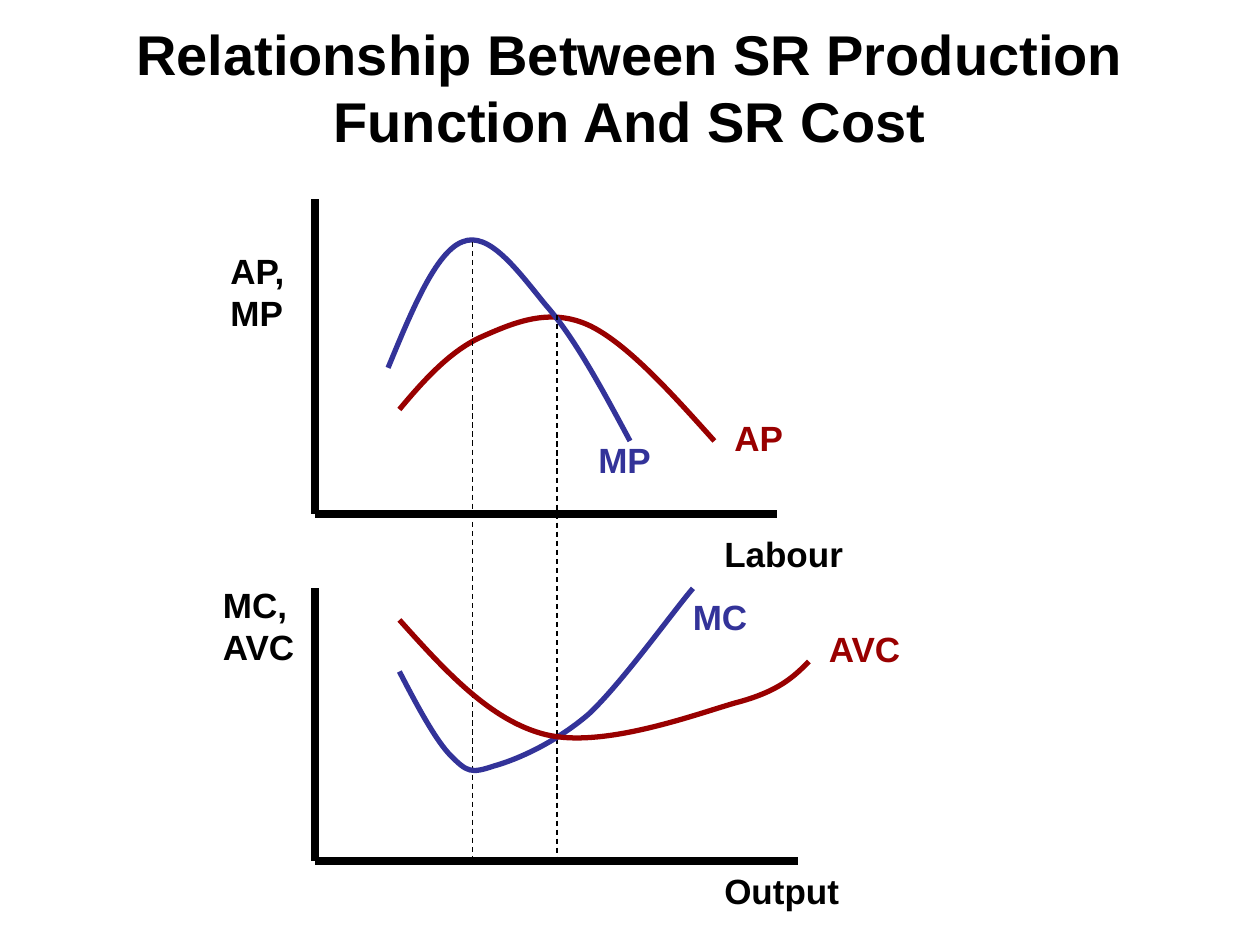
from dataclasses import dataclass

from lxml.etree import SubElement
from pptx import Presentation
from pptx.dml.color import RGBColor
from pptx.enum.dml import MSO_LINE_DASH_STYLE as Dash
from pptx.enum.shapes import MSO_CONNECTOR as Connector
from pptx.enum.text import MSO_ANCHOR as Anchor, MSO_AUTO_SIZE as AutoSize, PP_ALIGN as Align
from pptx.oxml.ns import qn
from pptx.util import Inches, Pt


@dataclass(frozen=True)
class Theme:
    font: str = "Arial"
    ink: RGBColor = RGBColor(0, 0, 0)
    average: RGBColor = RGBColor(0x99, 0, 0)
    marginal: RGBColor = RGBColor(0x33, 0x33, 0x99)
    title_size: int = 32
    label_size: int = 20
    axis_width: float = 4.5
    curve_width: float = 3
    guide_width: float = 0.75


THEME = Theme()


def add_run(paragraph, text, size, color):
    run = paragraph.add_run()
    run.text = text
    run.font.name = THEME.font
    run.font.size = Pt(size)
    run.font.bold = True
    run.font.color.rgb = color


def add_title(slide, text):
    shape = slide.shapes.add_textbox(Inches(0.5), Inches(0.3), Inches(9), Inches(0.78))
    frame = shape.text_frame
    frame.word_wrap = True
    frame.vertical_anchor = Anchor.MIDDLE
    paragraph = frame.paragraphs[0]
    paragraph.alignment = Align.CENTER
    add_run(paragraph, text, THEME.title_size, THEME.ink)


def add_label(slide, lines, left, top, width, color=THEME.ink):
    height = 0.11 + 0.33 * len(lines)
    shape = slide.shapes.add_textbox(Inches(left), Inches(top), Inches(width), Inches(height))
    frame = shape.text_frame
    frame.word_wrap = False
    frame.auto_size = AutoSize.SHAPE_TO_FIT_TEXT
    for index, line in enumerate(lines):
        paragraph = frame.add_paragraph() if index else frame.paragraphs[0]
        add_run(paragraph, line, THEME.label_size, color)


def add_line(slide, start, end, width, dash=None):
    ends = [Inches(value) for value in (*start, *end)]
    connector = slide.shapes.add_connector(Connector.STRAIGHT, *ends)
    connector.line.color.rgb = THEME.ink
    connector.line.width = Pt(width)
    if dash:
        connector.line.dash_style = dash
    SubElement(connector._element.spPr, qn("a:effectLst"))


def add_axes(slide, top, bottom, right, left=2.5):
    add_line(slide, (left, top), (left, bottom), THEME.axis_width)
    add_line(slide, (left, bottom), (right, bottom), THEME.axis_width)


def add_curve(slide, points, color):
    """Draw a Bezier curve: a start point, then two controls and an end per segment."""
    start, *others = [(Inches(x), Inches(y)) for x, y in points]
    builder = slide.shapes.build_freeform(*start)
    builder.add_line_segments(others, close=False)
    shape = builder.convert_to_shape()
    outline = shape._element.find(".//" + qn("a:path"))
    segments = outline.findall(qn("a:lnTo"))
    for first in range(0, len(segments), 3):
        bezier = SubElement(outline, qn("a:cubicBezTo"))
        for segment in segments[first:first + 3]:
            bezier.append(segment[0])
            outline.remove(segment)
    shape.shadow.inherit = False
    shape.fill.background()
    shape.line.color.rgb = color
    shape.line.width = Pt(THEME.curve_width)


def add_product_curves(slide):
    add_curve(slide, [(3.17, 3.25), (3.37, 3.01), (3.58, 2.78), (3.83, 2.67),
                      (4.08, 2.56), (4.36, 2.44), (4.67, 2.58),
                      (4.97, 2.72), (5.32, 3.11), (5.67, 3.5)], THEME.average)
    add_curve(slide, [(3.08, 2.92), (3.27, 2.46), (3.46, 2), (3.67, 1.92),
                      (3.88, 1.83), (4.11, 2.15), (4.33, 2.42),
                      (4.56, 2.68), (4.78, 3.09), (5, 3.5)], THEME.marginal)


def add_cost_curves(slide):
    add_curve(slide, [(3.17, 5.33), (3.31, 5.6), (3.46, 5.88), (3.58, 6),
                      (3.71, 6.13), (3.74, 6.14), (3.92, 6.08),
                      (4.1, 6.03), (4.4, 5.9), (4.67, 5.67),
                      (4.93, 5.43), (5.36, 4.83), (5.5, 4.67)], THEME.marginal)
    add_curve(slide, [(3.17, 4.92), (3.53, 5.32), (3.89, 5.72), (4.33, 5.83),
                      (4.78, 5.94), (5.49, 5.68), (5.83, 5.58),
                      (6.18, 5.49), (6.3, 5.37), (6.42, 5.25)], THEME.average)


def main():
    presentation = Presentation()
    presentation.slide_width = Inches(10)
    presentation.slide_height = Inches(7.5)
    slide = presentation.slides.add_slide(presentation.slide_layouts[6])

    add_title(slide, "Relationship Between SR Production Function And SR Cost")
    cost_base = 6.83
    add_axes(slide, 1.58, 4.08, 6.17)
    add_axes(slide, 4.67, cost_base, 6.33)
    add_product_curves(slide)
    for x, top in ((3.75, 1.92), (4.42, 2.5)):
        add_line(slide, (x, top), (x, cost_base), THEME.guide_width, Dash.DASH)
    add_cost_curves(slide)

    add_label(slide, ["Output"], 5.65, 6.85, 1.13)
    add_label(slide, ["Labour"], 5.65, 4.18, 1.16)
    add_label(slide, ["AP,", "MP"], 1.73, 1.93, 0.68)
    add_label(slide, ["MC,", "AVC"], 1.67, 4.58, 0.81)
    add_label(slide, ["AP"], 5.73, 3.26, 0.61, THEME.average)
    add_label(slide, ["AVC"], 6.48, 4.93, 0.81, THEME.average)
    add_label(slide, ["MP"], 4.65, 3.43, 0.64, THEME.marginal)
    add_label(slide, ["MC"], 5.4, 4.68, 0.66, THEME.marginal)

    presentation.save("out.pptx")


if __name__ == "__main__":
    main()
